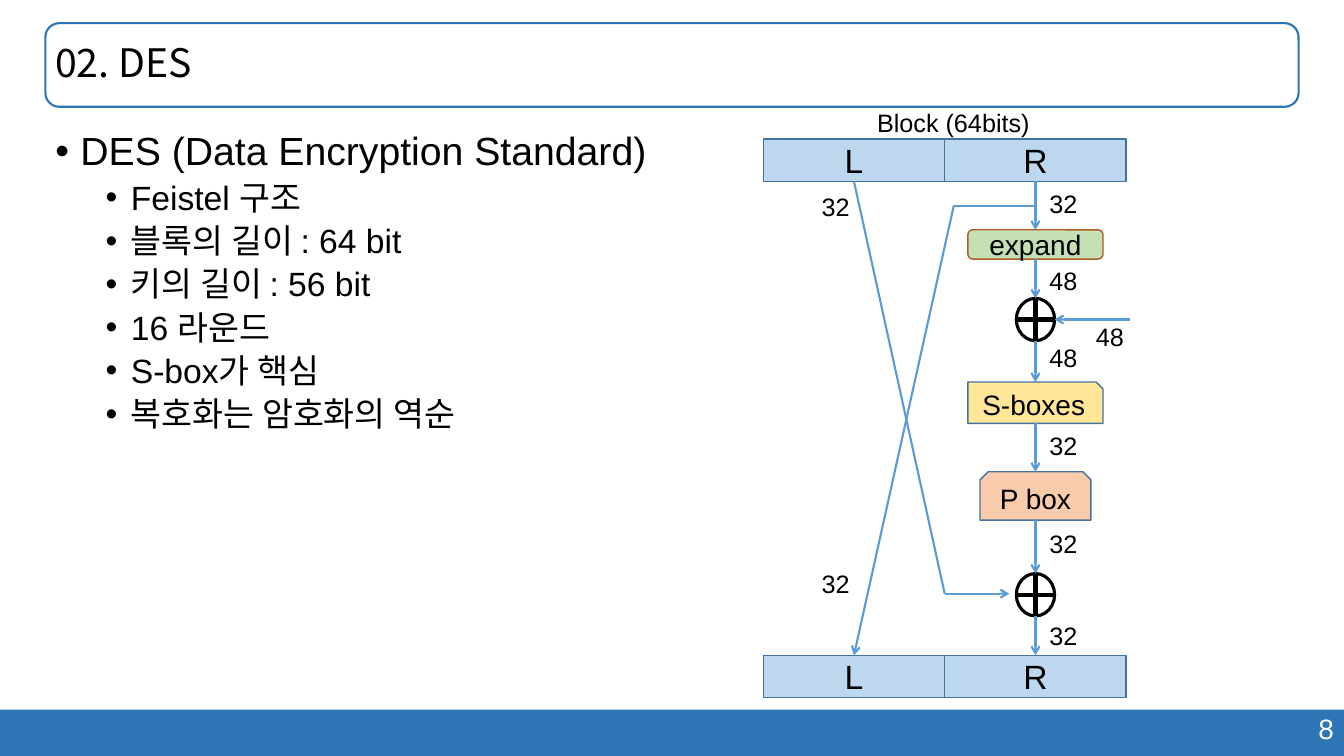
from pptx import Presentation
from pptx.dml.color import RGBColor
from pptx.enum.shapes import MSO_CONNECTOR, MSO_SHAPE
from pptx.enum.text import MSO_ANCHOR, MSO_AUTO_SIZE, PP_ALIGN
from pptx.oxml.ns import qn
from pptx.util import Pt
from lxml.etree import SubElement

PX = 9144  # 100 px to the inch
SANS, KOREAN = "Arial", "Noto Sans CJK KR"
BLACK, WHITE = "000000", "FFFFFF"
NAVY, EDGE, FLOW = "2E75B6", "43739E", "5B9BD5"


def color(hex_string):
    return RGBColor.from_string(hex_string)


def emu(*lengths):
    return [length * PX for length in lengths]


def style(paragraph, size, ink=BLACK, font=SANS):
    for run in paragraph.runs:
        run.font.size = Pt(size)
        run.font.name = font
        run.font.color.rgb = color(ink)
        SubElement(run.font._element, qn("a:ea")).set("typeface", KOREAN)


def add_box(slide, kind, box, fill=None, line=None, width=1, text="", size=20):
    shape = slide.shapes.add_shape(kind, *emu(*box))
    shape.shadow.inherit = False
    if fill:
        shape.fill.solid()
        shape.fill.fore_color.rgb = color(fill)
    else:
        shape.fill.background()
    if line:
        shape.line.color.rgb = color(line)
        shape.line.width = Pt(width)
    else:
        shape.line.fill.background()
    if text:
        frame = shape.text_frame
        frame.text = text
        frame.vertical_anchor = MSO_ANCHOR.MIDDLE
        frame.paragraphs[0].alignment = PP_ALIGN.CENTER
        style(frame.paragraphs[0], size)
    return shape


def add_text(slide, box, text, size, ink=BLACK, font=SANS, wrap=True):
    frame = slide.shapes.add_textbox(*emu(*box)).text_frame
    frame.word_wrap = wrap
    frame.text = text
    style(frame.paragraphs[0], size, ink, font)
    return frame


def add_label(slide, x, y, text, width=48):
    frame = add_text(slide, (x, y, width, 40), text, 18, wrap=False)
    frame.auto_size = MSO_AUTO_SIZE.SHAPE_TO_FIT_TEXT


def add_line(slide, start, end, ink=FLOW, width=1.5, arrow=False,
             source=None, target=None):
    """Line between two points; source is left at its bottom, target met at its top."""
    line = slide.shapes.add_connector(MSO_CONNECTOR.STRAIGHT, *emu(*start, *end))
    line.line.color.rgb = color(ink)
    line.line.width = Pt(width)
    if arrow:
        SubElement(line.line._get_or_add_ln(), qn("a:tailEnd")).set("type", "arrow")
    SubElement(line._element.spPr, qn("a:effectLst"))
    if source:
        line.begin_connect(source, 2)
    if target:
        line.end_connect(target, 0)


def add_header(slide, box, title):
    add_box(slide, MSO_SHAPE.ROUNDED_RECTANGLE, box, line=NAVY, width=1.5)
    frame = add_text(slide, box, title, 28, font=KOREAN)
    frame.vertical_anchor = MSO_ANCHOR.MIDDLE
    frame.paragraphs[0].line_spacing = 0.9


def add_footer(slide, box, number):
    x, y, width, height = box
    add_box(slide, MSO_SHAPE.RECTANGLE, box, fill=NAVY)
    frame = add_text(slide, (x + width - 390, y - 3, 390, 44), number, 20, WHITE)
    frame.paragraphs[0].alignment = PP_ALIGN.RIGHT


def add_bullets(slide, box, topic, facts):
    frame = slide.shapes.add_textbox(*emu(*box)).text_frame
    frame.word_wrap = True
    for index, text in enumerate([topic, *facts]):
        paragraph = frame.add_paragraph() if index else frame.paragraphs[0]
        paragraph.text = text
        properties = paragraph._p.get_or_add_pPr()
        properties.set("marL", str((75 if index else 25) * PX))
        properties.set("indent", str(-25 * PX))
        SubElement(properties, qn("a:buFont")).set("typeface", SANS)
        SubElement(properties, qn("a:buChar")).set("char", "•")
        paragraph.line_spacing = 0.9
        if index:
            paragraph.level = 1
            paragraph.space_before = Pt(5)
        style(paragraph, 24 if index else 28)


def add_halves(slide, x, y, half):
    return [add_box(slide, MSO_SHAPE.RECTANGLE, (x + i * half, y, half, 42),
                    "BDD7EE", EDGE, text=name, size=24)
            for i, name in enumerate("LR")]


def add_xor(slide, center, y):
    middle = y + 21
    add_box(slide, MSO_SHAPE.OVAL, (center - 19, y, 38, 42), line=BLACK, width=2.25)
    add_line(slide, (center, y), (center, y + 42), BLACK, 3)
    add_line(slide, (center - 19, middle), (center + 19, middle), BLACK, 3)


def add_round(slide, box):
    """One DES round: the right half passes down a column of steps."""
    x, y, width, height = box
    half = width // 2
    left, right = x + half // 2, x + half + half // 2
    top, bottom = y + 36, y + height - 42
    add_label(slide, x + 103, y, "Block (64bits)", 172)
    left_in, right_in = add_halves(slide, x, top, half)
    left_out, right_out = add_halves(slide, x, bottom, half)

    # Steps from top to bottom: kind, offset, width, height, fill, line, text
    steps = [
        (MSO_SHAPE.ROUNDED_RECTANGLE, 126, 134, 29, "C5E0B4", "AF5C24", "expand"),
        (None, 194, 38, 42, None, None, ""),
        (MSO_SHAPE.SNIP_1_RECTANGLE, 277, 134, 41, "FFE699", EDGE, "S-boxes"),
        (MSO_SHAPE.SNIP_2_SAME_RECTANGLE, 366, 110, 48, "F8CBAD", EDGE, "P box"),
        (None, 467, 38, 42, None, None, ""),
    ]
    source, leave = right_in, top + 42
    for kind, offset, step_width, step_height, fill, line, text in steps:
        arrive = y + offset
        step = None
        if kind:
            step = add_box(slide, kind, (right - step_width // 2, arrive,
                                         step_width, step_height), fill, line, text=text)
        else:
            add_xor(slide, right, arrive)
        joint = step if kind == MSO_SHAPE.ROUNDED_RECTANGLE else None
        add_line(slide, (right, leave), (right, arrive), arrow=True,
                 source=source, target=joint)
        source, leave = joint, arrive + step_height
    add_line(slide, (right, leave), (right, bottom), arrow=True, target=right_out)

    # Crossing halves
    bend, branch = (x + half, y + 487), (right - 81, y + 102)
    add_line(slide, (left, top + 42), bend, source=left_in)
    add_line(slide, bend, (bend[0] + 64, bend[1]), arrow=True)
    add_line(slide, (right, branch[1]), branch)
    add_line(slide, branch, (left, bottom), arrow=True, target=left_out)

    # Round key
    add_line(slide, (right + 94, y + 215), (right + 19, y + 215), arrow=True)
    add_label(slide, right + 50, y + 212, "48")

    # Bit widths
    for offset, bits in [(80, "32"), (156, "48"), (233, "48"),
                         (320, "32"), (417, "32"), (508, "32")]:
        add_label(slide, right + 4, y + offset, bits)
    for offset in (83, 457):
        add_label(slide, left - 42, y + offset, "32")


def main():
    deck = Presentation()
    deck.slide_width, deck.slide_height = emu(1333, 750)
    slide = deck.slides.add_slide(deck.slide_layouts[6])
    add_footer(slide, (0, 704, 1333, 46), "8")
    add_header(slide, (45, 23, 1243, 83), "02. DES")
    add_bullets(slide, (45, 126, 630, 553), "DES (Data Encryption Standard)", [
        "Feistel 구조", "블록의 길이 : 64 bit", "키의 길이 : 56 bit",
        "16 라운드", "S-box가 핵심", "복호화는 암호화의 역순"])
    add_round(slide, (757, 102, 360, 590))
    deck.save("out.pptx")


if __name__ == "__main__":
    main()
